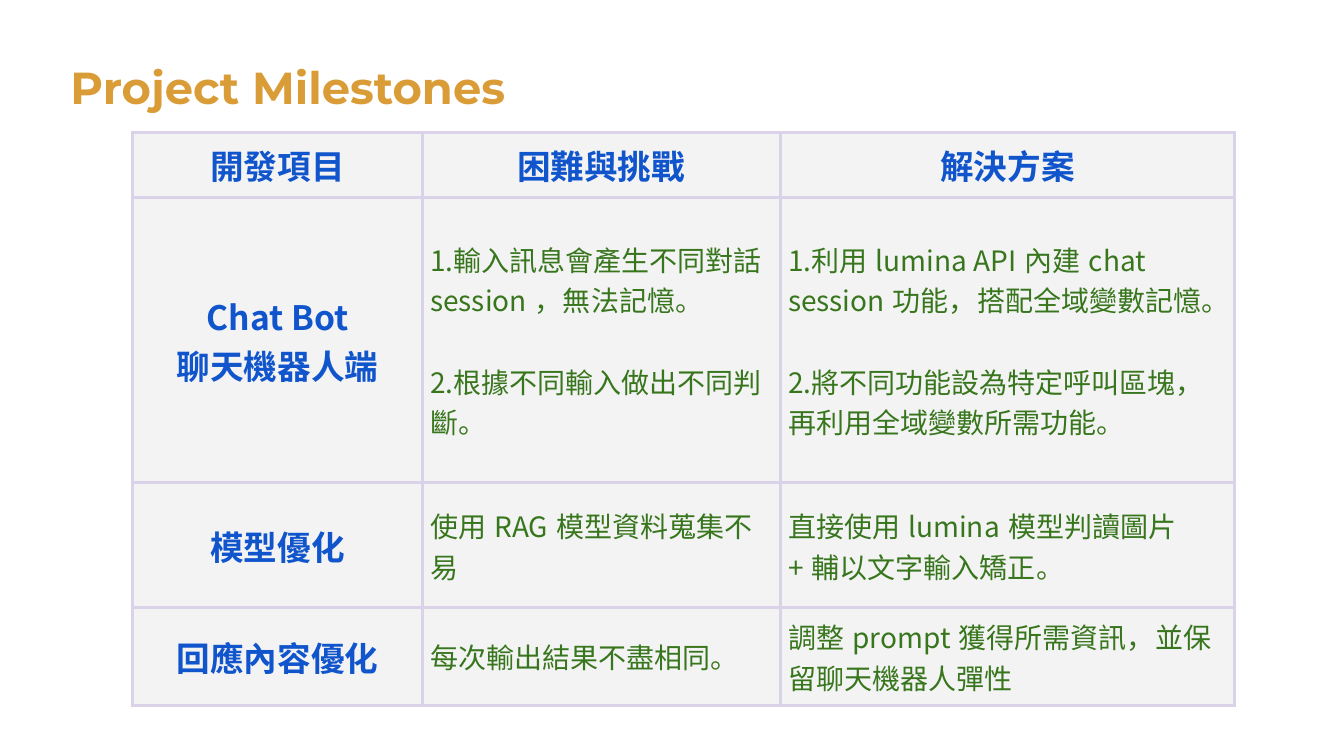
from lxml import etree
from pptx import Presentation
from pptx import util as u
from pptx.dml.color import RGBColor
from pptx.enum import text
from pptx.oxml import ns

HEADERS = ["開發項目", "困難與挑戰", "解決方案"]
MILESTONES = [
    (["Chat Bot", "聊天機器人端"],
     ["輸入訊息會產生不同對話 session，無法記憶。", "根據不同輸入做出不同判斷。"],
     ["利用lumina API內建chat session功能，搭配全域變數記憶。",
      "將不同功能設為特定呼叫區塊，再利用全域變數所需功能。"]),
    (["模型優化"], ["使用RAG模型資料蒐集不易"],
     ["直接使用lumina模型判讀圖片+輔以文字輸入矯正。"]),
    (["回應內容優化"], ["每次輸出結果不盡相同。"],
     ["調整prompt獲得所需資訊，並保留聊天機器人彈性"]),
]
COLUMN_WIDTHS = [7.29, 9.02, 11.46]
ROW_HEIGHTS = [1.6, 7.19, 3.15, 2.39]


def colour(value):
    return RGBColor.from_string(value)


class MilestoneSlide:
    title_font = "Montserrat"
    table_font = "Noto Sans CJK SC"
    gold, blue, green = "DA9C36", "1155CC", "38761D"
    panel, border = "F3F3F3", "D9D2E9"

    def __init__(self, deck):
        self.page = deck.slides.add_slide(deck.slide_layouts[5])

    def style(self, para, font_name, size, ink, bold):
        for span in para.runs:
            font = span.font
            font.name, font.size, font.bold = font_name, u.Pt(size), bold
            font.color.rgb = colour(ink)
            east_asian = etree.SubElement(font._element, ns.qn("a:ea"))
            east_asian.set("typeface", font_name)

    def title(self, words, left, top, width, height):
        box = self.page.shapes.title
        box.left, box.top = u.Cm(left), u.Cm(top)
        box.width, box.height = u.Cm(width), u.Cm(height)
        frame = box.text_frame
        frame.text = words
        frame.word_wrap = False
        frame.auto_size = text.MSO_AUTO_SIZE.NONE
        frame.vertical_anchor = text.MSO_ANCHOR.MIDDLE
        para = frame.paragraphs[0]
        para.alignment = text.PP_ALIGN.LEFT
        self.style(para, self.title_font, 32, self.gold, True)

    def number(self, para):
        properties = para._p.get_or_add_pPr()
        properties.set("marL", "0")
        properties.set("indent", "0")
        bullet = etree.SubElement(properties, ns.qn("a:buAutoNum"))
        bullet.set("type", "arabicPeriod")

    def outline(self, cell):
        properties = cell._tc.get_or_add_tcPr()
        for position, side in enumerate(["lnL", "lnR", "lnT", "lnB"]):
            line = etree.Element(ns.qn(f"a:{side}"), w=str(u.Pt(2.4)))
            fill = etree.SubElement(line, ns.qn("a:solidFill"))
            etree.SubElement(fill, ns.qn("a:srgbClr"), val=self.border)
            properties.insert(position, line)

    def cell(self, cell, lines, heading, anchor):
        cell.fill.solid()
        cell.fill.fore_color.rgb = colour(self.panel)
        self.outline(cell)
        cell.vertical_anchor = anchor
        cell.margin_left = cell.margin_right = u.Cm(0.2)
        cell.margin_top = cell.margin_bottom = u.Cm(0.2)
        cell.text_frame.text = "\n".join(lines)
        for index, para in enumerate(cell.text_frame.paragraphs):
            if heading:
                para.alignment = text.PP_ALIGN.CENTER
                self.style(para, self.table_font, 24, self.blue, True)
                continue
            para.alignment = text.PP_ALIGN.LEFT
            if index:
                para.space_before = u.Pt(29)
            if len(lines) > 1:
                self.number(para)
            self.style(para, self.table_font, 20, self.green, False)

    def table(self, left, top):
        table = self.page.shapes.add_table(
            len(ROW_HEIGHTS), len(COLUMN_WIDTHS), u.Cm(left), u.Cm(top),
            u.Cm(sum(COLUMN_WIDTHS)), u.Cm(sum(ROW_HEIGHTS))).table
        table.horz_banding = False
        for column, width in zip(table.columns, COLUMN_WIDTHS):
            column.width = u.Cm(width)
        for row, height in zip(table.rows, ROW_HEIGHTS):
            row.height = u.Cm(height)
        for column, header in enumerate(HEADERS):
            self.cell(table.cell(0, column), [header], True, text.MSO_ANCHOR.TOP)
        for row, milestone in enumerate(MILESTONES, 1):
            for column, lines in enumerate(milestone):
                self.cell(table.cell(row, column), lines, column == 0,
                          text.MSO_ANCHOR.MIDDLE)


def main():
    deck = Presentation()
    deck.slide_width, deck.slide_height = u.Cm(33.87), u.Cm(19.05)
    slide = MilestoneSlide(deck)
    slide.title("Project Milestones", 1.52, 1.37, 12.73, 1.63)
    slide.table(3.35, 3.35)
    deck.save("out.pptx")


if __name__ == "__main__":
    main()
